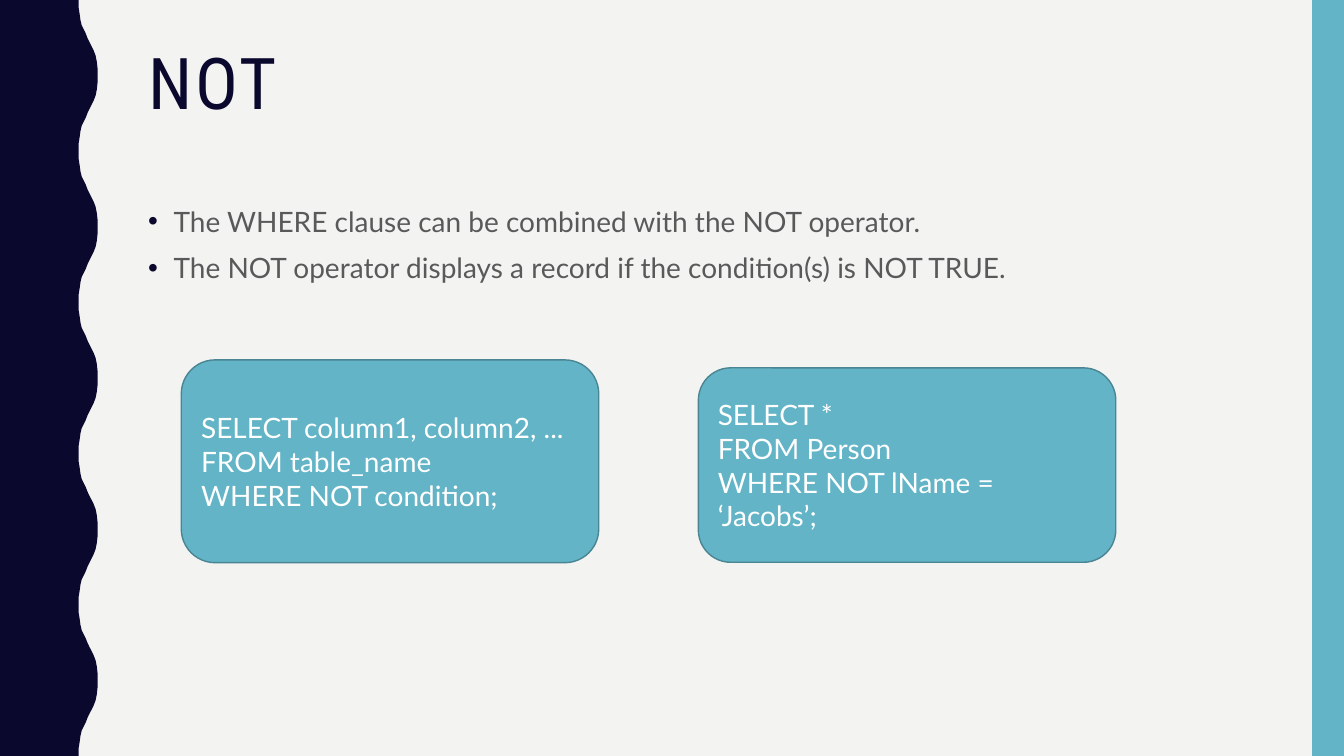
from dataclasses import dataclass

from lxml import etree
from pptx import Presentation
from pptx import util as u
from pptx.dml import color
from pptx.enum import shapes, text
from pptx.oxml import ns


@dataclass(frozen=True)
class Theme:
    background: str = "F3F3F2"
    navy: str = "0B082E"
    teal: str = "62B4C6"
    outline: str = "498592"
    gray: str = "595959"
    white: str = "FFFFFF"
    title_font: str = "Roboto Condensed"
    body_font: str = "Lato"
    title_size: int = 51
    body_size: int = 20


THEME = Theme()
WIDTH, HEIGHT = 33.87, 19.05
WAVE_COUNT = 5
HALF_WAVE = [
    (1.98, 0), (1.98, 0.18), (2.01, 0.36), (2.03, 0.51), (2.06, 0.64),
    (2.11, 0.74), (2.16, 0.84), (2.21, 0.97), (2.26, 1.07), (2.31, 1.17),
    (2.36, 1.27), (2.41, 1.4), (2.44, 1.55), (2.46, 1.73), (2.46, 1.9),
]
BULLETS = [
    "The WHERE clause can be combined with the NOT operator.",
    "The NOT operator displays a record if the condition(s) is NOT TRUE.",
]
SYNTAX = ["SELECT column1, column2, ...", "FROM table_name", "WHERE NOT condition;"]
EXAMPLE = ["SELECT *", "FROM Person", "WHERE NOT lName = ‘Jacobs’;"]


def rgb(value):
    return color.RGBColor.from_string(value)


def paint(shape, fill, line=None):
    shape.shadow.inherit = False
    shape.fill.solid()
    shape.fill.fore_color.rgb = rgb(fill)
    if line:
        shape.line.color.rgb = rgb(line)
        shape.line.width = u.Pt(1)
    else:
        shape.line.fill.background()


def place(shape, left, top, width, height):
    shape.left, shape.top = u.Cm(left), u.Cm(top)
    shape.width, shape.height = u.Cm(width), u.Cm(height)


def add_run(paragraph, content, font, size, fill):
    run = paragraph.add_run()
    run.text = content
    run.font.name = font
    run.font.size = u.Pt(size)
    run.font.color.rgb = rgb(fill)
    return run


def write_lines(frame, lines, fill):
    frame.word_wrap = True
    for index, line in enumerate(lines):
        paragraph = frame.add_paragraph() if index else frame.paragraphs[0]
        paragraph.alignment = text.PP_ALIGN.LEFT
        add_run(paragraph, line, THEME.body_font, THEME.body_size, fill)


def set_bullet(paragraph):
    properties = paragraph._p.get_or_add_pPr()
    properties.set("marL", str(u.Cm(0.64)))
    properties.set("indent", str(u.Cm(-0.64)))
    bullet_color = etree.SubElement(properties, ns.qn("a:buClr"))
    etree.SubElement(bullet_color, ns.qn("a:srgbClr"), val=THEME.navy)
    etree.SubElement(properties, ns.qn("a:buFont"), typeface="Arial")
    etree.SubElement(properties, ns.qn("a:buChar"), char="•")


def fill_title(shape, content):
    place(shape, 3.48, 1.07, 28.27, 4.14)
    frame = shape.text_frame
    frame.auto_size = text.MSO_AUTO_SIZE.NONE
    frame.vertical_anchor = text.MSO_ANCHOR.TOP
    paragraph = frame.paragraphs[0]
    paragraph.alignment = text.PP_ALIGN.LEFT
    paragraph.line_spacing = 0.9
    run = add_run(paragraph, content, THEME.title_font, THEME.title_size, THEME.navy)
    run.font._element.set("spc", "200")


def fill_body(shape, lines):
    place(shape, 3.48, 4.93, 28.27, 9.98)
    frame = shape.text_frame
    frame.auto_size = text.MSO_AUTO_SIZE.NONE
    frame.vertical_anchor = text.MSO_ANCHOR.TOP
    write_lines(frame, lines, THEME.gray)
    for paragraph in frame.paragraphs:
        paragraph.line_spacing = 1.1
        paragraph.space_before = u.Pt(7)
        set_bullet(paragraph)


def add_wave(slide):
    period = HEIGHT / WAVE_COUNT
    wave = HALF_WAVE + [(x, period - y) for x, y in reversed(HALF_WAVE)]
    edge = [(x, y + period * index) for index in range(WAVE_COUNT) for x, y in wave]
    points = [(u.Cm(x), u.Cm(y)) for x, y in edge + [(0, HEIGHT)]]
    builder = slide.shapes.build_freeform(0, 0)
    builder.add_line_segments(points, close=True)
    paint(builder.convert_to_shape(), THEME.navy)


def add_side_bar(slide):
    bar = slide.shapes.add_shape(shapes.MSO_SHAPE.RECTANGLE, 0, 0, 0, 0)
    place(bar, 33.07, 0, 0.8, HEIGHT)
    paint(bar, THEME.teal)


def add_code_box(slide, left, top, height, lines):
    box = slide.shapes.add_shape(shapes.MSO_SHAPE.ROUNDED_RECTANGLE, 0, 0, 0, 0)
    place(box, left, top, 10.52, height)
    paint(box, THEME.teal, THEME.outline)
    box.text_frame.vertical_anchor = text.MSO_ANCHOR.MIDDLE
    write_lines(box.text_frame, lines, THEME.white)


def main():
    presentation = Presentation()
    presentation.slide_width, presentation.slide_height = u.Cm(WIDTH), u.Cm(HEIGHT)
    slide = presentation.slides.add_slide(presentation.slide_layouts[1])
    slide.background.fill.solid()
    slide.background.fill.fore_color.rgb = rgb(THEME.background)
    add_wave(slide)
    add_side_bar(slide)
    fill_title(slide.shapes.title, "NOT")
    fill_body(slide.placeholders[1], BULLETS)
    add_code_box(slide, 4.57, 9.07, 5.11, SYNTAX)
    add_code_box(slide, 17.6, 9.27, 4.9, EXAMPLE)
    presentation.save("out.pptx")


main()
